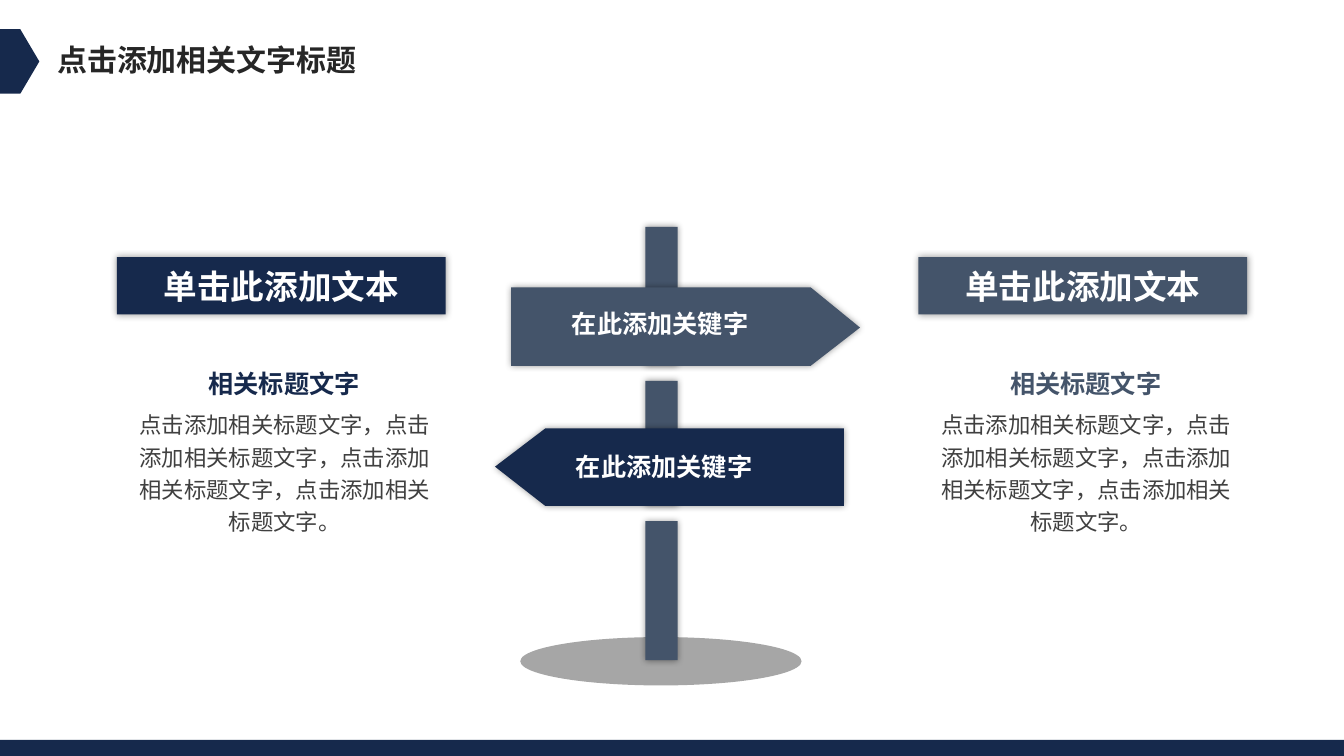
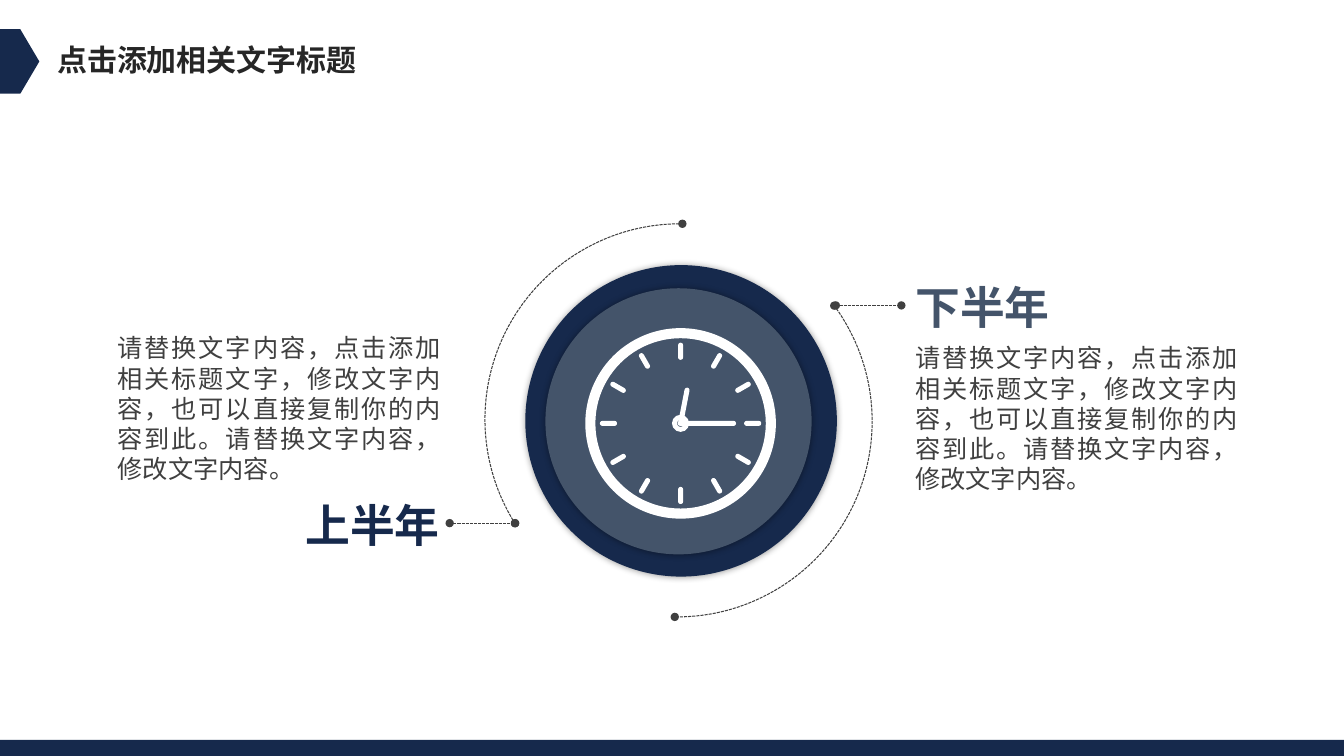
"""Build two slides: a signpost with two directions and a clock with two half-years."""
import math

from lxml import etree
from pptx import Presentation
from pptx import util as u
from pptx.dml.color import RGBColor
from pptx.enum import dml, shapes, text
from pptx.oxml.ns import qn

FONT = "Noto Sans CJK SC"
COLORS = {
    "navy": "16294C",
    "slate": "44546A",
    "white": "FFFFFF",
    "ground": "A6A6A6",
    "title": "262626",
    "body": "404040",
}
SHAPE = shapes.MSO_SHAPE
ALIGN = text.PP_ALIGN
ANCHOR = text.MSO_ANCHOR
TITLE = "点击添加相关文字标题"
SIGN_WORDS = "在此添加关键字"
DIRECTION_BODY = "，".join(["点击添加相关标题文字"] * 4) + "。"
HALF_YEAR_BODY = (
    "请替换文字内容，点击添加相关标题文字，修改文字内容，"
    "也可以直接复制你的内容到此。请替换文字内容，修改文字内容。"
)
CLOCK_X, CLOCK_Y = 6.75, 4.2


def rgb(color):
    return RGBColor.from_string(COLORS[color])


def inches(*lengths):
    return [u.Inches(length) for length in lengths]


def write(frame, words, size=18, color="body", bold=False, align=ALIGN.LEFT,
          anchor=ANCHOR.TOP, spacing=None, wrap=True):
    frame.word_wrap = wrap
    frame.vertical_anchor = anchor
    paragraph = frame.paragraphs[0]
    paragraph.alignment = align
    paragraph.line_spacing = spacing
    run = paragraph.add_run()
    run.text = words
    run.font.size = u.Pt(size)
    run.font.bold = bold
    run.font.name = FONT
    run.font.color.rgb = rgb(color)
    east_asian = etree.SubElement(run.font._element, qn("a:ea"))
    east_asian.set("typeface", FONT)


def add_label(slide, box, words, **style):
    frame = slide.shapes.add_textbox(*inches(*box)).text_frame
    write(frame, words, **style)
    frame.auto_size = text.MSO_AUTO_SIZE.SHAPE_TO_FIT_TEXT


def paint(shape, color, glow=False):
    shape.fill.solid()
    shape.fill.fore_color.rgb = rgb(color)
    shape.line.fill.background()
    shape.shadow.inherit = False
    if glow:
        effects = shape._element.spPr.find(qn("a:effectLst"))
        shadow = etree.SubElement(effects, qn("a:outerShdw"), blurRad=str(u.Pt(5)),
                                  dist="0", dir="0", algn="ctr", rotWithShape="0")
        black = etree.SubElement(shadow, qn("a:srgbClr"), val="000000")
        etree.SubElement(black, qn("a:alpha"), val="40000")


def add_block(slide, kind, box, color, glow=False, adjust=None, turn=0):
    block = slide.shapes.add_shape(kind, *inches(*box))
    if adjust is not None:
        block.adjustments[0] = adjust
    block.rotation = turn
    paint(block, color, glow)
    return block


def add_sign(slide, points, color):
    corners = [inches(*point) for point in points]
    builder = slide.shapes.build_freeform(*corners[0])
    builder.add_line_segments(corners[1:], close=True)
    paint(builder.convert_to_shape(), color, glow=True)


def dash(stroke):
    stroke.line.color.rgb = rgb("body")
    stroke.line.width = u.Pt(0.75)
    stroke.line.dash_style = dml.MSO_LINE.SQUARE_DOT
    properties = stroke._element.spPr
    for end in ("a:headEnd", "a:tailEnd"):
        etree.SubElement(properties.find(qn("a:ln")), qn(end), type="oval")
    etree.SubElement(properties, qn("a:effectLst"))


def add_orbit(slide, left, top, start, turn):
    orbit = slide.shapes.add_shape(SHAPE.ARC, *inches(left, top, 3.88, 3.88))
    orbit.adjustments[0] = start * 0.6
    orbit.adjustments[1] = 270.53 * 0.6
    orbit.rotation = turn
    orbit.fill.background()
    dash(orbit)


def add_leader(slide, left, y):
    dash(slide.shapes.add_connector(
        shapes.MSO_CONNECTOR.STRAIGHT, *inches(left, y, left + 0.65, y)))


def add_clock_bar(slide, degrees, inner, outer):
    middle = (inner + outer) / 2
    length = outer - inner
    x = CLOCK_X + middle * math.sin(math.radians(degrees))
    y = CLOCK_Y - middle * math.cos(math.radians(degrees))
    add_block(slide, SHAPE.ROUNDED_RECTANGLE, (x - 0.025, y - length / 2, 0.05, length),
              "white", adjust=0.5, turn=degrees)


def add_clock_ring(slide, diameter, thickness):
    left, top = CLOCK_X - diameter / 2, CLOCK_Y - diameter / 2
    add_block(slide, SHAPE.DONUT, (left, top, diameter, diameter), "white",
              adjust=thickness / diameter)


def add_clock(slide):
    add_clock_ring(slide, 1.89, 0.1)
    for hour in range(12):
        add_clock_bar(slide, hour * 30, 0.63, 0.8)
    add_clock_ring(slide, 0.17, 0.05)
    add_clock_bar(slide, 11, -0.02, 0.36)
    add_clock_bar(slide, 90, -0.03, 0.55)


def add_direction(slide, left, color):
    banner = add_block(slide, SHAPE.RECTANGLE, (left, 2.55, 3.26, 0.57), color, glow=True)
    write(banner.text_frame, "单击此添加文本", size=24, color="white", bold=True,
          align=ALIGN.CENTER, anchor=ANCHOR.MIDDLE)
    add_label(slide, (left + 0.81, 3.52, 1.72, 0.46), "相关标题文字", color=color,
              bold=True, spacing=1.3, wrap=False)
    add_label(slide, (left + 0.07, 3.98, 3.19, 1.39), DIRECTION_BODY, size=16,
              align=ALIGN.CENTER, spacing=1.2)


def add_half_year(slide, name, color, align, name_at, body_at):
    add_label(slide, (*name_at, 3.09, 0.64), name, size=32, color=color, bold=True,
              align=align, anchor=ANCHOR.MIDDLE)
    add_label(slide, (*body_at, 3.4, 1.62), HALF_YEAR_BODY, align=ALIGN.JUSTIFY,
              anchor=ANCHOR.MIDDLE)


def add_frame(slide):
    add_block(slide, SHAPE.PENTAGON, (0, 0.29, 0.39, 0.64), "navy", adjust=0.484)
    add_label(slide, (0.47, 0.36, 3.2, 0.46), TITLE, size=21.4, color="title",
              bold=True, wrap=False)
    add_block(slide, SHAPE.RECTANGLE, (0, 7.34, 13.33, 0.16), "navy")


def build_signpost(slide):
    add_block(slide, SHAPE.OVAL, (5.16, 6.32, 2.79, 0.48), "ground")
    for top, height in ((2.25, 1.38), (3.78, 1.24), (5.17, 1.38)):
        add_block(slide, SHAPE.RECTANGLE, (6.4, top, 0.32, height), "slate", glow=True)
    add_sign(slide, [(4.91, 4.63), (5.41, 4.25), (8.37, 4.25), (8.37, 5.02),
                     (5.41, 5.02)], "navy")
    add_sign(slide, [(8.53, 3.25), (8.04, 3.63), (5.07, 3.63), (5.07, 2.85),
                     (8.04, 2.85)], "slate")
    for left, top in ((5.55, 3.01), (5.59, 4.43)):
        add_label(slide, (left, top, 1.97, 0.4), SIGN_WORDS, color="white", bold=True,
                  align=ALIGN.RIGHT, wrap=False)
    add_direction(slide, 1.16, "navy")
    add_direction(slide, 9.11, "slate")


def build_half_years(slide):
    add_orbit(slide, 4.81, 2.22, 147.88, 0)
    add_orbit(slide, 4.77, 2.24, 143.72, 180)
    add_leader(slide, 8.29, 3.03)
    add_leader(slide, 4.46, 5.19)
    add_block(slide, SHAPE.OVAL, (5.21, 2.63, 3.09, 3.09), "navy", glow=True)
    add_half_year(slide, "上半年", "navy", ALIGN.RIGHT, (1.37, 4.88), (1.07, 3.24))
    add_half_year(slide, "下半年", "slate", ALIGN.LEFT, (8.98, 2.72), (8.98, 3.34))
    add_block(slide, SHAPE.OVAL, (5.41, 2.86, 2.64, 2.64), "slate", glow=True)
    add_clock(slide)


def main():
    deck = Presentation()
    deck.slide_width, deck.slide_height = inches(13.33, 7.5)
    for build in (build_signpost, build_half_years):
        slide = deck.slides.add_slide(deck.slide_layouts[6])
        build(slide)
        add_frame(slide)
    deck.save("out.pptx")


if __name__ == "__main__":
    main()
